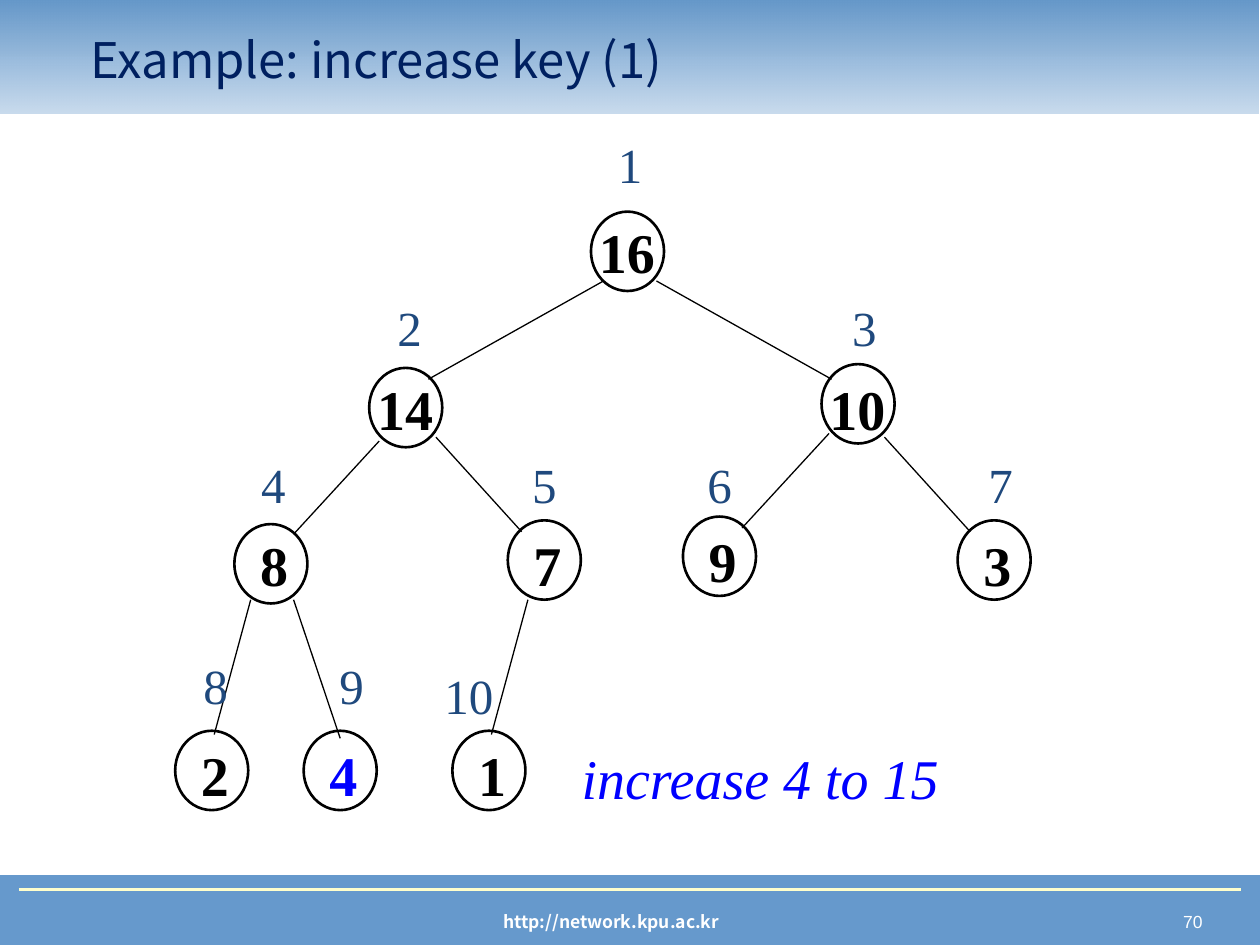
import pptx
import pptx.dml.color
import pptx.enum.shapes
import pptx.enum.text
import pptx.util
from lxml import etree
from pptx.oxml.ns import qn

Inches, Pt = pptx.util.Inches, pptx.util.Pt
RGB = pptx.dml.color.RGBColor.from_string
SHAPE = pptx.enum.shapes.MSO_SHAPE
ALIGN = pptx.enum.text.PP_ALIGN
ANCHOR = pptx.enum.text.MSO_ANCHOR

# Content
TITLE = "Example: increase key (1)"
FOOTER = "http://network.kpu.ac.kr"
PAGE = " 70 "
CAPTION = "increase 4 to 15"
CHANGED_INDEX = 9

# Heap nodes: index, key, circle left, circle top, key top, index centre, index top
NODES = [
    (1, 16, 4.69, 1.68, 1.68, 5.00, 1.02),
    (2, 14, 2.93, 2.92, 2.92, 3.25, 2.31),
    (3, 10, 6.52, 2.89, 2.92, 6.86, 2.31),
    (4, 8, 1.86, 4.16, 4.16, 2.17, 3.56),
    (5, 7, 4.03, 4.13, 4.16, 4.32, 3.56),
    (6, 9, 5.42, 4.10, 4.13, 5.71, 3.56),
    (7, 3, 7.60, 4.13, 4.16, 7.94, 3.56),
    (8, 2, 1.39, 5.80, 5.83, 1.71, 5.15),
    (9, 4, 2.41, 5.80, 5.83, 2.79, 5.15),
    (10, 1, 3.59, 5.80, 5.83, 3.72, 5.23),
]

# Heap edges: parent end, child end
EDGES = [
    ((4.79, 2.23), (3.40, 3.01)),
    ((5.21, 2.23), (6.60, 3.01)),
    ((3.01, 3.50), (2.33, 4.24)),
    ((3.46, 3.47), (4.14, 4.22)),
    ((6.58, 3.44), (5.89, 4.19)),
    ((7.02, 3.47), (7.70, 4.22)),
    ((1.99, 4.76), (1.70, 5.83)),
    ((2.33, 4.76), (2.70, 5.86)),
    ((4.19, 4.76), (3.90, 5.83)),
]

THEME = {
    "band": "6699CC", "band_top": "6497C9", "rule": "FFFFCC",
    "ink": "000000",
    "title": dict(size=28, font="Noto Sans CJK KR", color="002060"),
    "footer": dict(size=10, font="Noto Sans CJK KR", color="FFFFFF", bold=True),
    "page": dict(size=10, font="Arial", color="FFFFFF"),
    "key": dict(size=32, font="Times New Roman", color="000000", bold=True),
    "changed": dict(size=32, font="Times New Roman", color="0000FF", bold=True),
    "index": dict(size=28, font="Times New Roman", color="1F497D"),
    "caption": dict(size=32, font="Times New Roman", color="0000FF", italic=True),
}
CIRCLE_W, CIRCLE_H = 0.58, 0.63
KEY_W, KEY_H = 0.79, 0.64
INDEX_H = 0.57

deck = pptx.Presentation()
deck.slide_width, deck.slide_height = Inches(10), Inches(7.5)
slide = deck.slides.add_slide(deck.slide_layouts[6])


def add_outline(kind, left, top, width, height):
    shape = slide.shapes.add_shape(
        kind, Inches(left), Inches(top), Inches(width), Inches(height))
    shape.shadow.inherit = False
    return shape


def add_line(start, end, color, weight):
    line = slide.shapes.add_connector(
        pptx.enum.shapes.MSO_CONNECTOR.STRAIGHT,
        *(Inches(v) for v in start + end))
    line.line.color.rgb = RGB(color)
    line.line.width = Pt(weight)
    etree.SubElement(line._element.spPr, qn("a:effectLst"))


def add_text(text, left, top, width, height, style, align=ALIGN.CENTER,
             anchor=ANCHOR.TOP, wrap=True):
    box = slide.shapes.add_textbox(
        Inches(left), Inches(top), Inches(width), Inches(height))
    frame = box.text_frame
    frame.word_wrap = wrap
    frame.vertical_anchor = anchor
    paragraph = frame.paragraphs[0]
    paragraph.text = text
    paragraph.alignment = align
    font = paragraph.font
    font.size, font.name = Pt(style["size"]), style["font"]
    font.color.rgb = RGB(style["color"])
    font.bold = style.get("bold", False)
    font.italic = style.get("italic", False)


# Footer band
footer_band = add_outline(SHAPE.RECTANGLE, 0, 6.95, 10, 0.55)
footer_band.fill.solid()
footer_band.fill.fore_color.rgb = RGB(THEME["band"])
footer_band.line.color.rgb = RGB(THEME["band"])
footer_band.line.width = Pt(0.75)
add_text(PAGE, 7.42, 7.18, 2.26, 0.27, THEME["page"], ALIGN.RIGHT)
add_text(FOOTER, 2.27, 7.18, 5.16, 0.27, THEME["footer"])
add_line((0.15, 7.06), (9.85, 7.06), THEME["rule"], 1.5)

# Title band, fading towards its lower edge
title_band = add_outline(SHAPE.RECTANGLE, -0.01, 0, 10, 0.9)
title_band.line.fill.background()
title_band.fill.gradient()
title_band.fill.gradient_angle = 90
for stop, color in zip(title_band.fill.gradient_stops,
                       (THEME["band"], THEME["band_top"])):
    stop.color.rgb = RGB(color)
faded = title_band._element.spPr.find(".//" + qn("a:srgbClr"))
etree.SubElement(faded, qn("a:alpha"), val="35000")
add_text(TITLE, 0.62, 0.16, 8.44, 0.62, THEME["title"], ALIGN.LEFT, ANCHOR.MIDDLE)

# Heap edges and circles
for parent_end, child_end in EDGES:
    add_line(parent_end, child_end, THEME["ink"], 0.75)
for _, _, left, top, *_ in NODES:
    circle = add_outline(SHAPE.OVAL, left, top, CIRCLE_W, CIRCLE_H)
    circle.fill.background()
    circle.line.color.rgb = RGB(THEME["ink"])
    circle.line.width = Pt(1.5)

# Keys inside the circles, indices above them
for index, key, left, _, key_top, index_center, index_top in NODES:
    key_left = left - (0.11 if key > 9 else 0.08)
    key_style = THEME["changed" if index == CHANGED_INDEX else "key"]
    add_text(str(key), key_left, key_top, KEY_W, KEY_H, key_style)
    index_w = 0.59 if index > 9 else 0.39
    add_text(str(index), index_center - index_w / 2, index_top, index_w, INDEX_H,
             THEME["index"], wrap=False)

# Caption
add_text(CAPTION, 4.51, 5.85, 3.05, 0.64, THEME["caption"], wrap=False)

deck.save("out.pptx")
